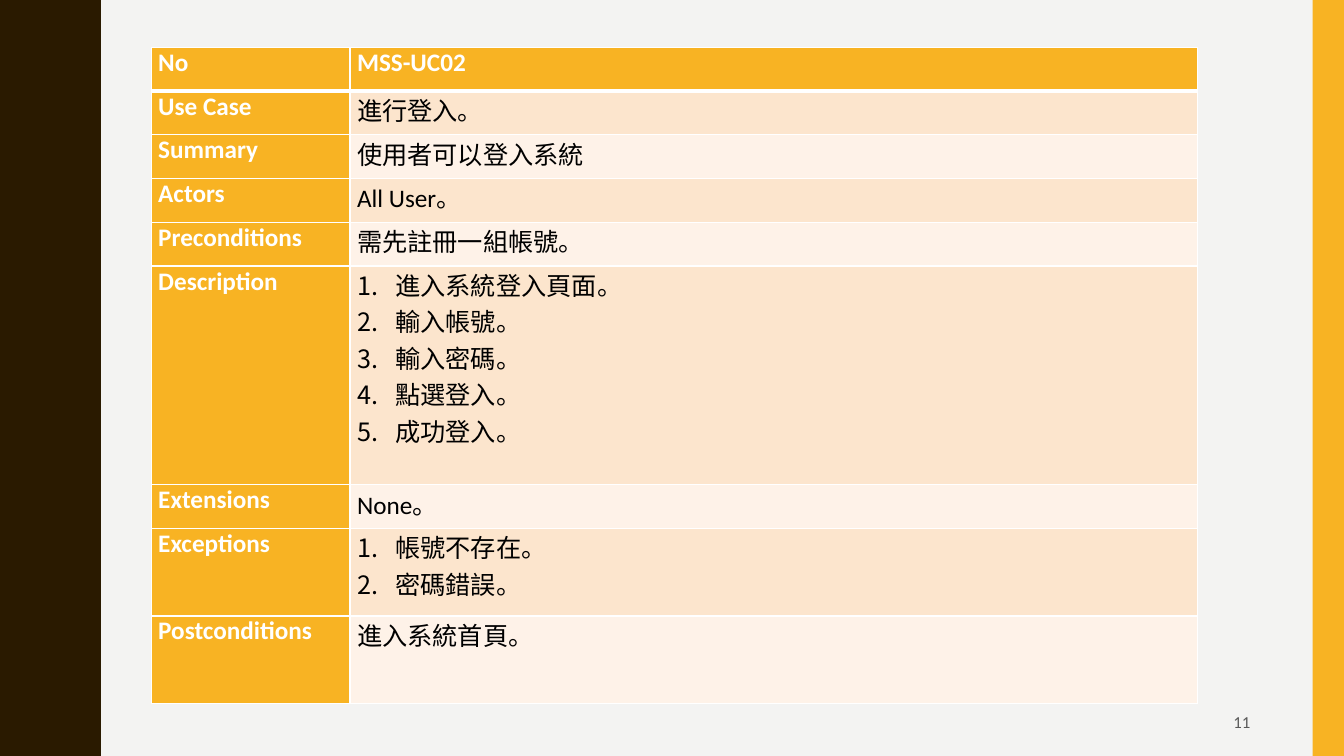
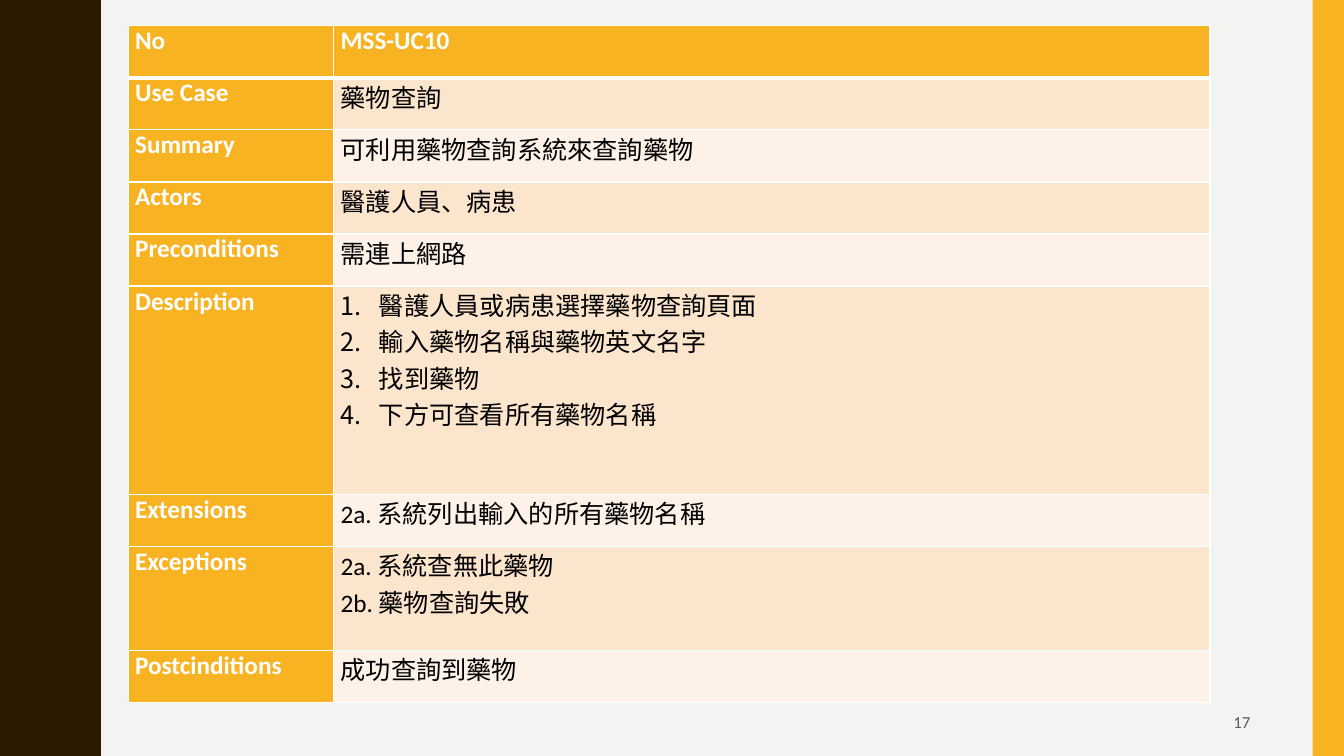
"""Builds two use-case table slides that share one master frame."""
from lxml import etree
from pptx import Presentation
from pptx import util as u
from pptx.dml.color import RGBColor
from pptx.enum import shapes, text
from pptx.oxml import ns

COLORS = {
    "paper": "F3F3F2", "wave": "2A1A00", "gold": "F8B323", "peach": "FCE5CD",
    "cream": "FEF2E8", "white": "FFFFFF", "black": "000000", "gray": "595959",
}
FONT = "Calibri"
LABEL = {"size": u.Pt(18), "bold": True, "color": "white"}
VALUE = {"size": u.Pt(18), "bold": False, "color": "black"}
NUMBER = {"size": u.Pt(12), "bold": False, "color": "gray"}
INSETS = {"margin_left": u.Inches(0.07), "margin_right": u.Inches(0.07),
          "margin_top": 0, "margin_bottom": 0}
WAVE_PERIOD = 1.5
HALF_WAVE = [
    (0.78, 0), (0.78, 0.07), (0.79, 0.14), (0.8, 0.2), (0.81, 0.25),
    (0.83, 0.29), (0.85, 0.33), (0.87, 0.38), (0.89, 0.42), (0.91, 0.46),
    (0.93, 0.5), (0.95, 0.55), (0.96, 0.61), (0.97, 0.68), (0.97, 0.75),
]


class Deck:
    def __init__(self):
        self.prs = Presentation()
        self.prs.slide_width, self.prs.slide_height = u.Inches(13.33), u.Inches(7.5)
        self.s = None

    def box(self, x, y, w, h):
        wide, high = self.prs.slide_width / 100, self.prs.slide_height / 100
        return [round(v) for v in (x * wide, y * high, w * wide, h * high)]

    def paint(self, fill, color):
        fill.solid()
        fill.fore_color.rgb = RGBColor.from_string(COLORS[color])

    def add_slide(self):
        first = self.s is None
        self.s = self.prs.slides.add_slide(self.prs.slide_layouts[6])
        if first:
            self.frame_master()

    def frame_master(self):
        master = self.prs.slide_master
        self.paint(master.background.fill, "paper")
        for sp, color in ((self.wave(), "wave"), (self.band(), "gold")):
            self.paint(sp.fill, color)
            sp.line.fill.background()
            sp.shadow.inherit = False
            master.shapes.element.append(sp.element)

    def wave(self):
        period = HALF_WAVE + [(x, WAVE_PERIOD - y) for x, y in HALF_WAVE[-2::-1]]
        edge = [(x, y + WAVE_PERIOD * i) for i in range(5) for x, y in period]
        outline = self.s.shapes.build_freeform(0, 0, scale=u.Inches(1))
        outline.add_line_segments(edge + [(0, 7.5)], close=True)
        return outline.convert_to_shape()

    def band(self):
        return self.s.shapes.add_shape(
            shapes.MSO_SHAPE.RECTANGLE, *self.box(97.67, 0, 2.33, 100))

    def add_text(self, p, words, style):
        r = p.add_run()
        r.text = words
        r.font.name = FONT
        for key, value in style.items():
            if key == "color":
                r.font.color.rgb = RGBColor.from_string(COLORS[value])
            else:
                setattr(r.font, key, value)

    def page_number(self, number):
        tf = self.s.shapes.add_textbox(*self.box(70.67, 92.93, 23.1, 5.07)).text_frame
        tf.word_wrap = True
        tf.vertical_anchor = text.MSO_ANCHOR.MIDDLE
        p = tf.paragraphs[0]
        p.alignment = text.PP_ALIGN.RIGHT
        self.add_text(p, number, NUMBER)

    def number_list(self, p):
        pPr = p._p.get_or_add_pPr()
        indent = u.Inches(0.38)
        pPr.set("marL", str(indent))
        pPr.set("indent", str(-indent))
        etree.SubElement(pPr, ns.qn("a:buFont"), typeface="+mj-lt")
        etree.SubElement(pPr, ns.qn("a:buAutoNum"), type="arabicPeriod")

    def borders(self, cell, row):
        tcPr = cell._tc.get_or_add_tcPr()
        widths = {"L": 1, "R": 1, "T": 3 if row == 1 else 1, "B": 3 if row == 0 else 1}
        for side, points in widths.items():
            ln = etree.SubElement(tcPr, ns.qn("a:ln" + side), w=str(u.Pt(points)))
            fill = etree.SubElement(ln, ns.qn("a:solidFill"))
            etree.SubElement(fill, ns.qn("a:srgbClr"), val=COLORS["white"])

    def fill_cell(self, cell, row, content, style, color):
        self.borders(cell, row)
        self.paint(cell.fill, color)
        for key, value in INSETS.items():
            setattr(cell, key, value)
        numbered = isinstance(content, list)
        lines = content if numbered else content.split("\n")
        tf = cell.text_frame
        for i, line in enumerate(lines):
            p = tf.add_paragraph() if i else tf.paragraphs[0]
            if numbered:
                self.number_list(p)
            self.add_text(p, line, style)

    def use_case(self, area, rows):
        x, y, w, h = self.box(*area)
        table = self.s.shapes.add_table(len(rows), 2, x, y, w, h).table
        label_width = round(w * 0.19)
        table.columns[0].width = label_width
        table.columns[1].width = w - label_width
        unit = h / sum(units for units, _, _ in rows)
        for i, (units, label, content) in enumerate(rows):
            table.rows[i].height = round(unit * units)
            self.fill_cell(table.cell(i, 0), i, label, LABEL, "gold")
            color = "gold" if i == 0 else "peach" if i % 2 else "cream"
            style = VALUE if i else LABEL
            self.fill_cell(table.cell(i, 1), i, content, style, color)


SLIDES = [
    ("11", (11.25, 6.27, 77.87, 86.8), [
        (1, "No", "MSS-UC02"),
        (1, "Use Case", "進行登入。"),
        (1, "Summary", "使用者可以登入系統"),
        (1, "Actors", "All User。"),
        (1, "Preconditions", "需先註冊一組帳號。"),
        (5, "Description", ["進入系統登入頁面。", "輸入帳號。", "輸入密碼。",
                            "點選登入。", "成功登入。"]),
        (1, "Extensions", "None。"),
        (2, "Exceptions", ["帳號不存在。", "密碼錯誤。"]),
        (2, "Postconditions", "進入系統首頁。"),
    ]),
    ("17", (9.53, 3.4, 80.5, 89.6), [
        (1, "No", "MSS-UC10"),
        (1, "Use Case", "藥物查詢"),
        (1, "Summary", "可利用藥物查詢系統來查詢藥物"),
        (1, "Actors", "醫護人員、病患"),
        (1, "Preconditions", "需連上網路"),
        (4, "Description", ["醫護人員或病患選擇藥物查詢頁面", "輸入藥物名稱與藥物英文名字",
                            "找到藥物", "下方可查看所有藥物名稱"]),
        (1, "Extensions", "2a. 系統列出輸入的所有藥物名稱"),
        (2, "Exceptions", "2a. 系統查無此藥物\n2b. 藥物查詢失敗"),
        (1, "Postcinditions", "成功查詢到藥物"),
    ]),
]


def main():
    deck = Deck()
    for number, area, rows in SLIDES:
        deck.add_slide()
        deck.page_number(number)
        deck.use_case(area, rows)
    deck.prs.save("out.pptx")


if __name__ == "__main__":
    main()
